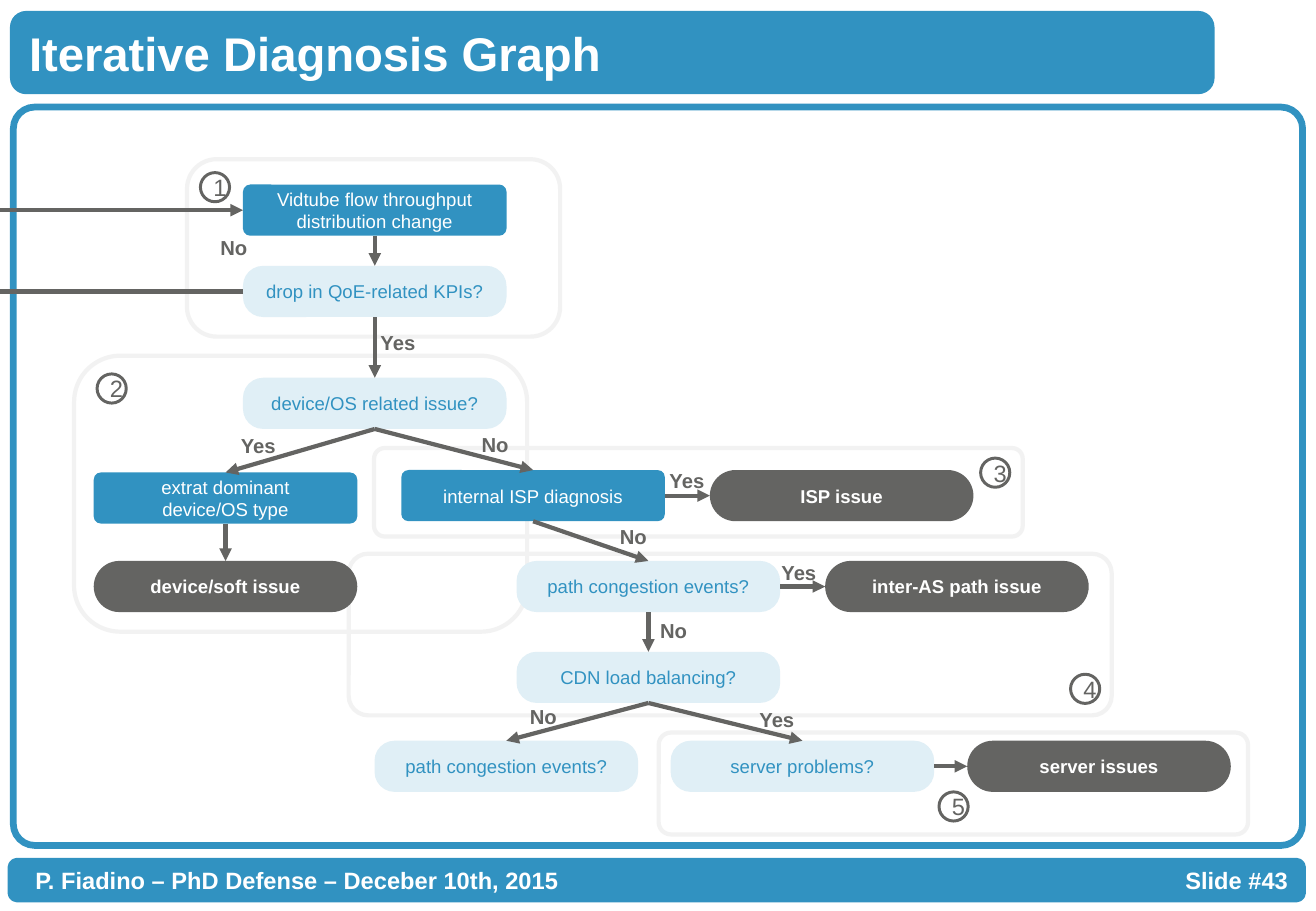
"""Build the iterative diagnosis graph slide."""
from typing import NamedTuple, Optional

from lxml import etree
from pptx import Presentation
from pptx import util as u
from pptx.dml.color import RGBColor
from pptx.enum import shapes, text
from pptx.oxml import ns

BLUE = RGBColor(0x31, 0x92, 0xC1)
PALE = RGBColor(0xE0, 0xEF, 0xF6)
GREY = RGBColor(0x64, 0x64, 0x62)
LIGHT = RGBColor(0xF2, 0xF2, 0xF2)
WHITE = RGBColor(0xFF, 0xFF, 0xFF)

FONT = "Arial"
NODE_WIDTH, NODE_HEIGHT = 5.51, 1.07
LABEL_WIDTH, LABEL_HEIGHT = 1.8, 0.81
BADGE_SIZE = 0.61
TOP, LEFT, BOTTOM, RIGHT = range(4)
ROUNDED = shapes.MSO_SHAPE.ROUNDED_RECTANGLE


class Box(NamedTuple):
    left: float
    top: float
    width: float
    height: float
    corner: float = 0.167


class Style(NamedTuple):
    fill: RGBColor
    color: RGBColor
    corner: float
    bold: bool = False


class Node(NamedTuple):
    key: str
    caption: str
    left: float
    top: float
    style: Style


class Edge(NamedTuple):
    source: str
    source_side: int
    target: str
    target_side: int


class Mark(NamedTuple):
    caption: str
    left: float
    top: float


ACTION = Style(BLUE, WHITE, 0.142)
QUESTION = Style(PALE, BLUE, 0.392)
RESULT = Style(GREY, WHITE, 0.5, True)

HEADER = Box(0.28, 0.3, 25.04, 1.6)
BODY = Box(0.28, 2.24, 26.95, 15.44, 0.029)
FOOTER = Box(0.23, 18.01, 27, 0.79)
STAGES = [
    Box(1.55, 7.44, 9.47, 5.77),
    Box(7.82, 9.37, 13.56, 1.85, 0.121),
    Box(7.29, 11.58, 15.95, 3.38, 0.121),
    Box(13.77, 15.32, 12.32, 2.13, 0.121),
    Box(3.91, 3.33, 7.8, 3.71),
]
NODES = [
    Node("change", "Vidtube flow throughput distribution change", 5.08, 3.86, ACTION),
    Node("drop", "drop in QoE-related KPIs?", 5.08, 5.56, QUESTION),
    Node("device", "device/OS related issue?", 5.08, 7.9, QUESTION),
    Node("extract", "extrat dominant\ndevice/OS type", 1.96, 9.88, ACTION),
    Node("soft", "device/soft issue", 1.96, 11.73, RESULT),
    Node("internal", "internal ISP diagnosis", 8.39, 9.83, ACTION),
    Node("isp", "ISP issue", 14.84, 9.83, RESULT),
    Node("path", "path congestion events?", 10.8, 11.73, QUESTION),
    Node("inter", "inter-AS path issue", 17.25, 11.73, RESULT),
    Node("cdn", "CDN load balancing?", 10.8, 13.63, QUESTION),
    Node("congestion", "path congestion events?", 7.83, 15.49, QUESTION),
    Node("server", "server problems?", 14.02, 15.49, QUESTION),
    Node("issues", "server issues", 20.22, 15.49, RESULT),
]
EDGES = [
    Edge("change", BOTTOM, "drop", TOP),
    Edge("drop", BOTTOM, "device", TOP),
    Edge("device", BOTTOM, "extract", TOP),
    Edge("extract", BOTTOM, "soft", TOP),
    Edge("device", BOTTOM, "internal", TOP),
    Edge("internal", RIGHT, "isp", LEFT),
    Edge("internal", BOTTOM, "path", TOP),
    Edge("path", RIGHT, "inter", LEFT),
    Edge("path", BOTTOM, "cdn", TOP),
    Edge("cdn", BOTTOM, "congestion", TOP),
    Edge("cdn", BOTTOM, "server", TOP),
    Edge("server", RIGHT, "issues", LEFT),
]
LABELS = [
    Mark("No", 3.99, 4.78), Mark("Yes", 7.42, 6.76),
    Mark("Yes", 4.5, 8.92), Mark("No", 9.45, 8.89),
    Mark("Yes", 13.46, 9.65), Mark("No", 12.34, 10.82),
    Mark("Yes", 15.8, 11.56), Mark("No", 13.18, 12.78),
    Mark("No", 10.46, 14.58), Mark("Yes", 15.34, 14.63),
]
BADGES = [
    Mark("1", 4.19, 3.61), Mark("2", 2.03, 7.82), Mark("3", 20.5, 9.58),
    Mark("4", 22.38, 14.1), Mark("5", 19.63, 16.56),
]


def add_box(slide, box: Box, fill: Optional[RGBColor] = None,
            line: Optional[RGBColor] = None, weight: float = 0, kind=ROUNDED):
    shape = slide.shapes.add_shape(kind, *map(u.Cm, box[:4]))
    shape.shadow.inherit = False
    if kind == ROUNDED:
        shape.adjustments[0] = box.corner
    if fill is None:
        shape.fill.background()
    else:
        shape.fill.solid()
        shape.fill.fore_color.rgb = fill
    if line is None:
        shape.line.fill.background()
    else:
        shape.line.color.rgb = line
        shape.line.width = u.Pt(weight)
    return shape


def write(shape, caption: str, size: float, color: RGBColor, bold: bool = False,
          align=text.PP_ALIGN.CENTER, tab: Optional[float] = None) -> None:
    frame = shape.text_frame
    frame.word_wrap = True
    frame.vertical_anchor = text.MSO_ANCHOR.MIDDLE
    frame.text = caption
    for paragraph in frame.paragraphs:
        paragraph.alignment = align
        if tab is not None:
            properties = paragraph._p.get_or_add_pPr()
            tabs = etree.SubElement(properties, ns.qn("a:tabLst"))
            etree.SubElement(tabs, ns.qn("a:tab"), pos=str(u.Cm(tab)), algn="r")
        font = paragraph.font
        font.name, font.size, font.bold = FONT, u.Pt(size), bold
        font.color.rgb = color


def add_line(slide, source=None, source_side: int = LEFT, target=None,
             target_side: int = LEFT, arrow: bool = True) -> None:
    anchor = source or target
    middle = anchor.top + anchor.height // 2
    connector = slide.shapes.add_connector(
        shapes.MSO_CONNECTOR.STRAIGHT, 0, middle, 0, middle)
    if source is not None:
        connector.begin_connect(source, source_side)
    if target is not None:
        connector.end_connect(target, target_side)
    connector.line.color.rgb = GREY
    connector.line.width = u.Pt(2.5)
    if arrow:
        outline = connector.line._get_or_add_ln()
        etree.SubElement(outline, ns.qn("a:tailEnd"), type="triangle")
    etree.SubElement(connector._element.spPr, ns.qn("a:effectLst"))


def main() -> None:
    presentation = Presentation()
    presentation.slide_width, presentation.slide_height = u.Cm(27.51), u.Cm(19.05)
    slide = presentation.slides.add_slide(presentation.slide_layouts[6])

    for stage in STAGES:
        add_box(slide, stage, line=LIGHT, weight=2.5)
    header = add_box(slide, HEADER, BLUE, BLUE, 4)
    write(header, "Iterative Diagnosis Graph", 28, WHITE, True, text.PP_ALIGN.LEFT)
    add_box(slide, BODY, line=BLUE, weight=4)
    footer = add_box(slide, FOOTER, BLUE, BLUE, 4)
    footer.text_frame.margin_left, footer.text_frame.margin_right = u.Cm(0.47), 0
    write(footer, "P. Fiadino – PhD Defense – Deceber 10th, 2015\tSlide #43",
          14, WHITE, True, text.PP_ALIGN.LEFT, tab=26.19)

    placed = {}
    for node in NODES:
        style = node.style
        box = Box(node.left, node.top, NODE_WIDTH, NODE_HEIGHT, style.corner)
        placed[node.key] = add_box(slide, box, style.fill)
        write(placed[node.key], node.caption, 11, style.color, style.bold)
    for edge in EDGES:
        add_line(slide, placed[edge.source], edge.source_side,
                 placed[edge.target], edge.target_side)
    add_line(slide, source=placed["drop"], arrow=False)
    add_line(slide, target=placed["change"])

    for label in LABELS:
        size = (label.left, label.top, LABEL_WIDTH, LABEL_HEIGHT)
        write(slide.shapes.add_textbox(*map(u.Cm, size)), label.caption, 12, GREY, True)
    for badge in BADGES:
        box = Box(badge.left, badge.top, BADGE_SIZE, BADGE_SIZE)
        circle = add_box(slide, box, WHITE, GREY, 1.75, shapes.MSO_SHAPE.OVAL)
        write(circle, badge.caption, 14, GREY)
    presentation.save("out.pptx")


if __name__ == "__main__":
    main()
